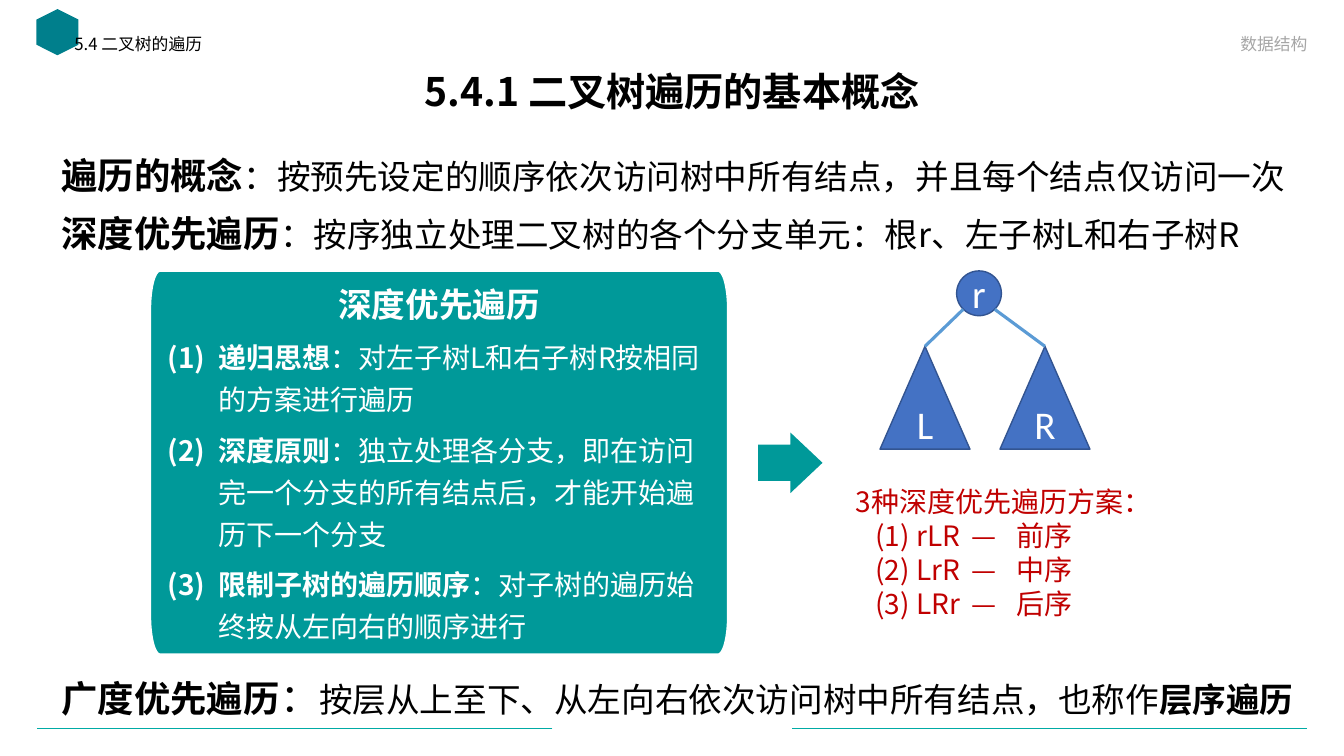
from dataclasses import dataclass
from math import cos, pi, sin

from lxml.etree import SubElement
from pptx import Presentation
from pptx.dml.color import RGBColor
from pptx.enum.shapes import MSO_CONNECTOR, MSO_SHAPE
from pptx.enum.text import MSO_ANCHOR, PP_ALIGN
from pptx.oxml.ns import qn
from pptx.shapes.autoshape import Shape
from pptx.slide import Slide
from pptx.text.text import TextFrame
from pptx.util import Pt

HUES = {
    "black": "000000", "white": "FFFFFF", "grey": "A6A6A6", "red": "C00000",
    "teal": "009999", "rule": "00ABA5", "logo": "007F8C",
    "node": "4472C4", "edge": "325491", "link": "5B9BD5",
}
HAN = "Noto Sans CJK SC"


@dataclass
class Run:
    text: str
    size: float
    bold: bool = False
    hue: str = "black"
    font: str = HAN


@dataclass
class Para:
    runs: list[Run]
    align: PP_ALIGN = PP_ALIGN.LEFT
    pitch: float | None = None
    before: float = 0
    after: float = 0
    number: bool = False
    tabs: tuple[float, ...] = ()


@dataclass
class Box:
    left: float
    top: float
    width: float
    height: float
    paras: list[Para]


@dataclass
class Node:
    kind: MSO_SHAPE
    left: float
    top: float
    width: float
    height: float
    label: str


@dataclass
class Line:
    start: tuple[float, float]
    end: tuple[float, float]
    hue: str
    weight: float


def color(name: str) -> RGBColor:
    return RGBColor.from_string(HUES[name])


def write(frame: TextFrame, paras: list[Para]) -> None:
    for i, item in enumerate(paras):
        para = frame.paragraphs[0] if i == 0 else frame.add_paragraph()
        props = para._p.get_or_add_pPr()
        if item.number:
            props.set("marL", str(Pt(36)))
            props.set("indent", str(-Pt(36)))
            SubElement(props, qn("a:buFont"), typeface=HAN)
            SubElement(props, qn("a:buAutoNum"), type="arabicParenBoth")
        if item.tabs:
            stops = SubElement(props, qn("a:tabLst"))
            for pos in item.tabs:
                SubElement(stops, qn("a:tab"), pos=str(Pt(pos)), algn="l")
        para.alignment = item.align
        para.space_before = Pt(item.before)
        para.space_after = Pt(item.after)
        if item.pitch:
            para.line_spacing = Pt(item.pitch)
        for part in item.runs:
            run = para.add_run()
            run.text = part.text
            run.font.size = Pt(part.size)
            run.font.bold = part.bold
            run.font.color.rgb = color(part.hue)
            run.font.name = part.font
            SubElement(run._r.get_or_add_rPr(), qn("a:ea"), typeface=part.font)


def add_box(slide: Slide, box: Box) -> None:
    shape = slide.shapes.add_textbox(
        Pt(box.left), Pt(box.top), Pt(box.width), Pt(box.height))
    shape.text_frame.word_wrap = True
    write(shape.text_frame, box.paras)


def paint(shape: Shape, fill: str, line: str | None = None) -> None:
    shape.shadow.inherit = False
    shape.fill.solid()
    shape.fill.fore_color.rgb = color(fill)
    if line:
        shape.line.color.rgb = color(line)
        shape.line.width = Pt(1)
    else:
        shape.line.fill.background()


def pad(frame: TextFrame, inset: float) -> None:
    frame.margin_left = frame.margin_right = Pt(inset)
    frame.margin_top = frame.margin_bottom = Pt(inset)
    frame.vertical_anchor = MSO_ANCHOR.MIDDLE


def add_node(slide: Slide, node: Node) -> None:
    shape = slide.shapes.add_shape(
        node.kind, Pt(node.left), Pt(node.top), Pt(node.width), Pt(node.height))
    paint(shape, "node", "edge")
    pad(shape.text_frame, 0)
    shape.text_frame.word_wrap = False
    label = Run(node.label, 28, hue="white", font="Calibri")
    write(shape.text_frame, [Para([label], PP_ALIGN.CENTER)])


def add_line(slide: Slide, line: Line) -> None:
    link = slide.shapes.add_connector(
        MSO_CONNECTOR.STRAIGHT, *map(Pt, line.start + line.end))
    link.line.color.rgb = color(line.hue)
    link.line.width = Pt(line.weight)
    SubElement(link._element.spPr, qn("a:effectLst"))


def add_card(slide: Slide, box: Box, rx: float, ry: float) -> None:
    """Draw a panel whose corners are quarter ellipses of radii rx and ry."""
    right, base = box.left + box.width, box.top + box.height
    hubs = [(right - rx, base - ry), (box.left + rx, base - ry),
            (box.left + rx, box.top + ry), (right - rx, box.top + ry)]
    steps = 12
    rim = []
    for turn, (x, y) in enumerate(hubs):
        for step in range(steps + 1):
            angle = (turn + step / steps) * pi / 2
            rim.append((Pt(x + rx * cos(angle)), Pt(y + ry * sin(angle))))
    form = slide.shapes.build_freeform(*rim[0])
    form.add_line_segments(rim[1:])
    shape = form.convert_to_shape()
    paint(shape, "teal", "white")
    pad(shape.text_frame, 12.24)
    shape.text_frame.word_wrap = True
    write(shape.text_frame, box.paras)


def term(name: str, text: str, before: float = 0) -> Para:
    return Para([Run(name, 26, True), Run(text, 24)], pitch=31.4, before=before)


def rule(name: str, text: str) -> Para:
    runs = [Run(name, 20, True, "white"), Run(text, 20, hue="white")]
    return Para(runs, pitch=30, after=6, number=True)


def red(text: str) -> Para:
    return Para([Run(text, 20, hue="red")], pitch=24.3, tabs=(14.3, 83, 115))


BOXES = [
    Box(66, 42, 828, 41, [Para([Run("5.4.1 二叉树遍历的基本概念", 28, True)],
                               PP_ALIGN.CENTER, 36)]),
    Box(46, 18, 383, 26, [Para([Run("5.4 二叉树的遍历", 12)], pitch=17)]),
    Box(535, 18, 406, 26, [Para([Run("数据结构", 12, hue="grey")],
                                PP_ALIGN.RIGHT, 17)]),
    Box(36.7, 105.3, 905, 82, [
        term("遍历的概念", "：按预先设定的顺序依次访问树中所有结点，并且每个结点仅访问一次"),
        term("深度优先遍历", "：按序独立处理二叉树的各个分支单元：根r、左子树L和右子树R", 10)]),
    Box(36.7, 479.4, 905, 40, [Para([
        Run("广度优先遍历", 26, True), Run("：", 28),
        Run("按层从上至下、从左向右依次访问树中所有结点，也称作", 24),
        Run("层序遍历", 24, True)], pitch=31.4)]),
    Box(604, 342, 248, 104, [
        red("3种深度优先遍历方案："), red("\t(1) rLR\t—\t前序"),
        red("\t(2) LrR\t—\t中序"), red("\t(3) LRr\t—\t后序")]),
]
CARD = Box(107.5, 193.7, 412.3, 273.6, [
    Para([Run("深度优先遍历", 24, True, "white")], PP_ALIGN.CENTER, 30, after=6),
    rule("递归思想", "：对左子树L和右子树R按相同的方案进行遍历"),
    rule("深度原则", "：独立处理各分支，即在访问完一个分支的所有结点后，才能开始遍历下一个分支"),
    rule("限制子树的遍历顺序", "：对子树的遍历始终按从左向右的顺序进行"),
])
NODES = [
    Node(MSO_SHAPE.OVAL, 683.3, 193.5, 32, 32, "r"),
    Node(MSO_SHAPE.ISOSCELES_TRIANGLE, 628.6, 247.4, 64.2, 73.4, "L"),
    Node(MSO_SHAPE.ISOSCELES_TRIANGLE, 714.3, 247.4, 64.2, 73.4, "R"),
]
LINES = [
    Line((394.5, 520), (26.5, 520), "rule", 0.5),
    Line((933.5, 520), (565.5, 520), "rule", 0.5),
    Line((688, 221), (660.7, 247.4), "link", 2.25),
    Line((710.6, 221), (746.4, 247.4), "link", 2.25),
]


def main() -> None:
    deck = Presentation()
    deck.slide_width, deck.slide_height = Pt(960), Pt(540)
    slide = deck.slides.add_slide(deck.slide_layouts[6])
    badge = slide.shapes.add_shape(
        MSO_SHAPE.HEXAGON, Pt(24.5), Pt(8), Pt(33), Pt(30))
    badge.rotation = 90
    paint(badge, "logo")
    for box in BOXES:
        add_box(slide, box)
    for node in NODES:
        add_node(slide, node)
    for line in LINES:
        add_line(slide, line)
    arrow = slide.shapes.add_shape(
        MSO_SHAPE.RIGHT_ARROW, Pt(541.5), Pt(309), Pt(46), Pt(43.2))
    arrow.adjustments[0], arrow.adjustments[1] = 0.6, 0.53
    paint(arrow, "teal")
    add_card(slide, CARD, 7, 27.4)
    deck.save("out.pptx")


if __name__ == "__main__":
    main()
